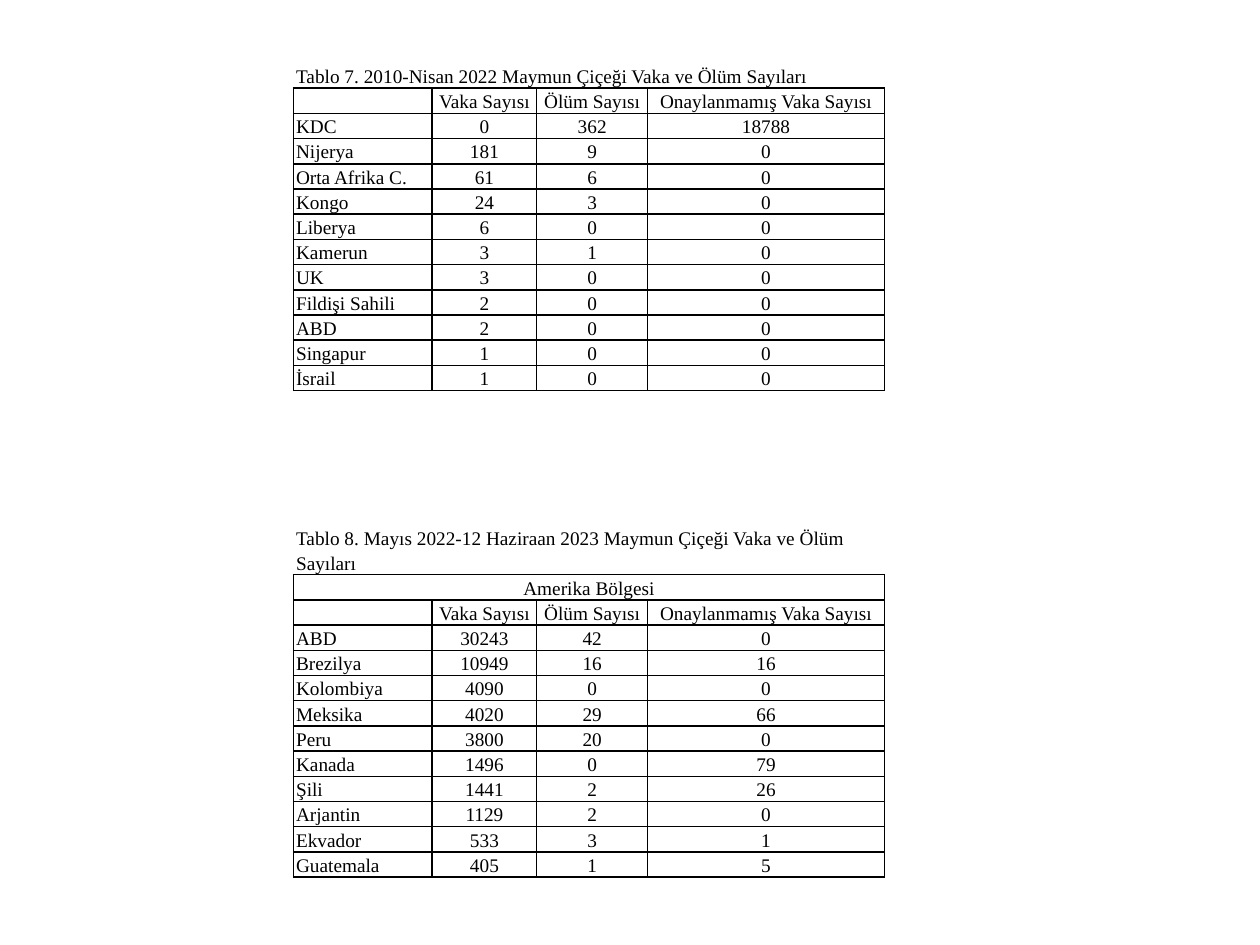
from lxml import etree
from pptx import Presentation
from pptx import util as u
from pptx.dml.color import RGBColor
from pptx.enum import text
from pptx.oxml import ns

BLACK = RGBColor(0, 0, 0)
WIDTHS = (1.1, 0.83, 0.88, 1.88)
ROW = 0.2
HEAD = ("", "Vaka Sayısı", "Ölüm Sayısı", "Onaylanmamış Vaka Sayısı")

WORLD = [
    ("Tablo 7. 2010-Nisan 2022 Maymun Çiçeği Vaka ve Ölüm Sayıları",),
    HEAD,
    ("KDC", 0, 362, 18788),
    ("Nijerya", 181, 9, 0),
    ("Orta Afrika C.", 61, 6, 0),
    ("Kongo", 24, 3, 0),
    ("Liberya", 6, 0, 0),
    ("Kamerun", 3, 1, 0),
    ("UK", 3, 0, 0),
    ("Fildişi Sahili", 2, 0, 0),
    ("ABD", 2, 0, 0),
    ("Singapur", 1, 0, 0),
    ("İsrail", 1, 0, 0),
]

AMERICAS = [
    ("Tablo 8. Mayıs 2022-12 Haziraan 2023 Maymun Çiçeği Vaka ve Ölüm Sayıları",),
    ("Amerika Bölgesi",),
    HEAD,
    ("ABD", 30243, 42, 0),
    ("Brezilya", 10949, 16, 16),
    ("Kolombiya", 4090, 0, 0),
    ("Meksika", 4020, 29, 66),
    ("Peru", 3800, 20, 0),
    ("Kanada", 1496, 0, 79),
    ("Şili", 1441, 2, 26),
    ("Arjantin", 1129, 2, 0),
    ("Ekvador", 533, 3, 1),
    ("Guatemala", 405, 1, 5),
]


class Page:
    def __init__(self, slide, face="Times New Roman", size=11):
        self.slide = slide
        self.face = face
        self.size = u.Pt(size)

    def border(self, cell, sides):
        props = cell._tc.get_or_add_tcPr()
        for side in "LRTB":
            line = etree.SubElement(props, ns.qn(f"a:ln{side}"))
            if side in sides:
                line.set("w", str(u.Pt(1)))
                fill = etree.SubElement(line, ns.qn("a:solidFill"))
                etree.SubElement(fill, ns.qn("a:srgbClr"), val=str(BLACK))
            else:
                line.set("w", "0")
                etree.SubElement(line, ns.qn("a:noFill"))

    def cell(self, cell, value, center, sides):
        cell.margin_left = cell.margin_right = u.Inches(0.02)
        cell.margin_top = cell.margin_bottom = 0
        self.border(cell, sides)
        cell.fill.background()
        para = cell.text_frame.paragraphs[0]
        para.text = str(value)
        para.line_spacing = 1.15
        para.alignment = text.PP_ALIGN.CENTER if center else text.PP_ALIGN.LEFT
        for run in para.runs:
            run.font.name = self.face
            run.font.size = self.size
            run.font.color.rgb = BLACK
        if not para.runs:
            size = str(int(self.size.pt * 100))
            etree.SubElement(para._p, ns.qn("a:endParaRPr"), sz=size)

    def table(self, left, top, rows):
        frame = self.slide.shapes.add_table(
            len(rows), len(WIDTHS), u.Inches(left), u.Inches(top),
            u.Inches(sum(WIDTHS)), u.Inches(ROW * len(rows)))
        grid = frame.table
        grid.first_row = grid.horz_banding = False
        for col, width in zip(grid.columns, WIDTHS):
            col.width = u.Inches(width)
        for i, row in enumerate(rows):
            grid.rows[i].height = u.Inches(ROW)
            wide = len(row) == 1
            if wide:
                grid.cell(i, 0).merge(grid.cell(i, len(WIDTHS) - 1))
            values = row + ("",) * (len(WIDTHS) - len(row))
            for j, value in enumerate(values):
                center = j > 0 or (wide and i > 0)
                self.cell(grid.cell(i, j), value, center, "LRTB" if i else "B")


def main():
    deck = Presentation()
    deck.slide_width, deck.slide_height = u.Inches(10), u.Inches(7.5)
    page = Page(deck.slides.add_slide(deck.slide_layouts[6]))
    page.table(2.33, 4.17, AMERICAS)
    page.table(2.33, 0.5, WORLD)
    deck.save("out.pptx")


if __name__ == "__main__":
    main()
